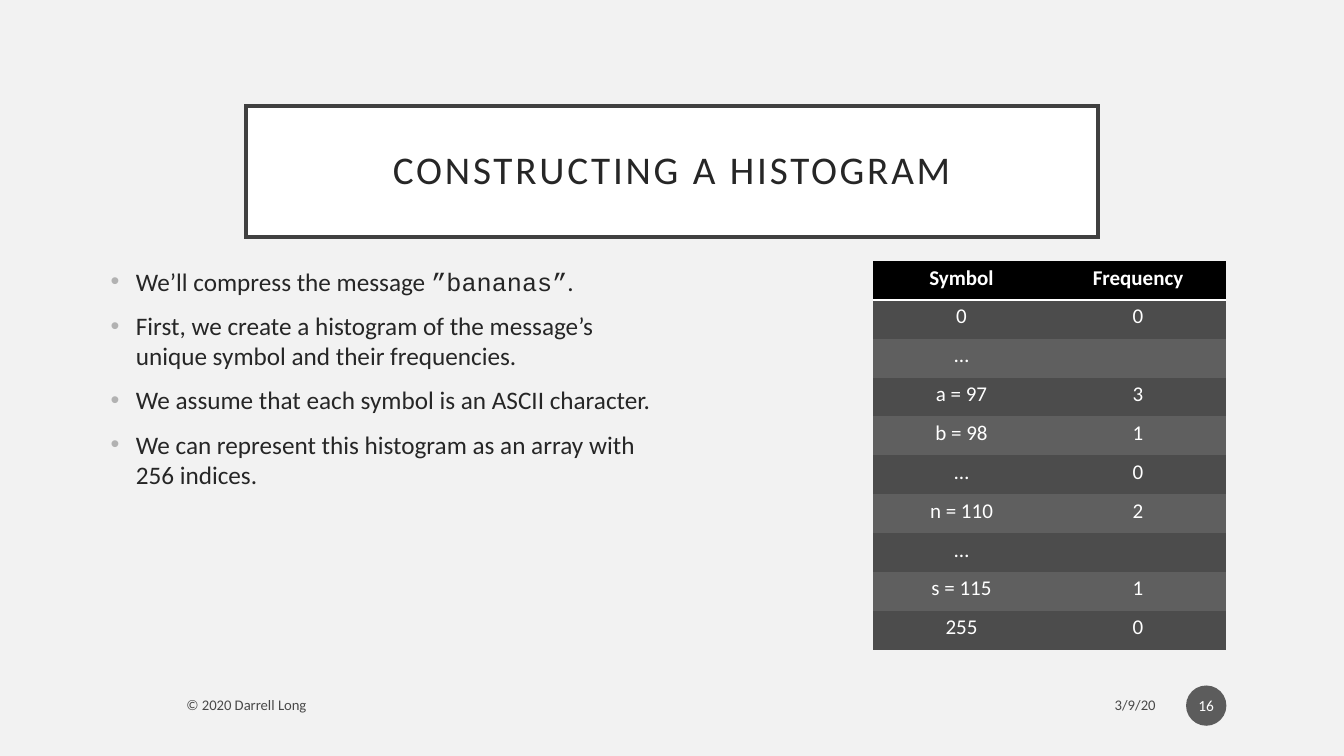
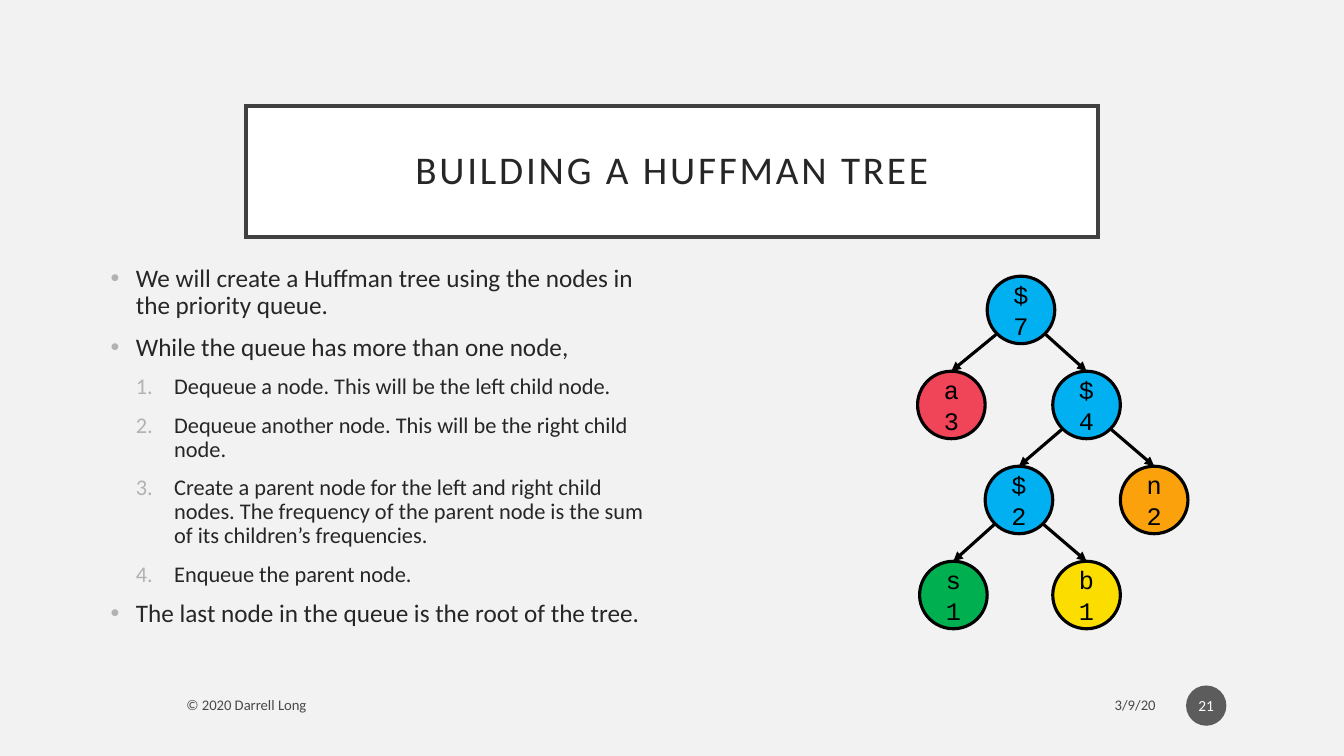
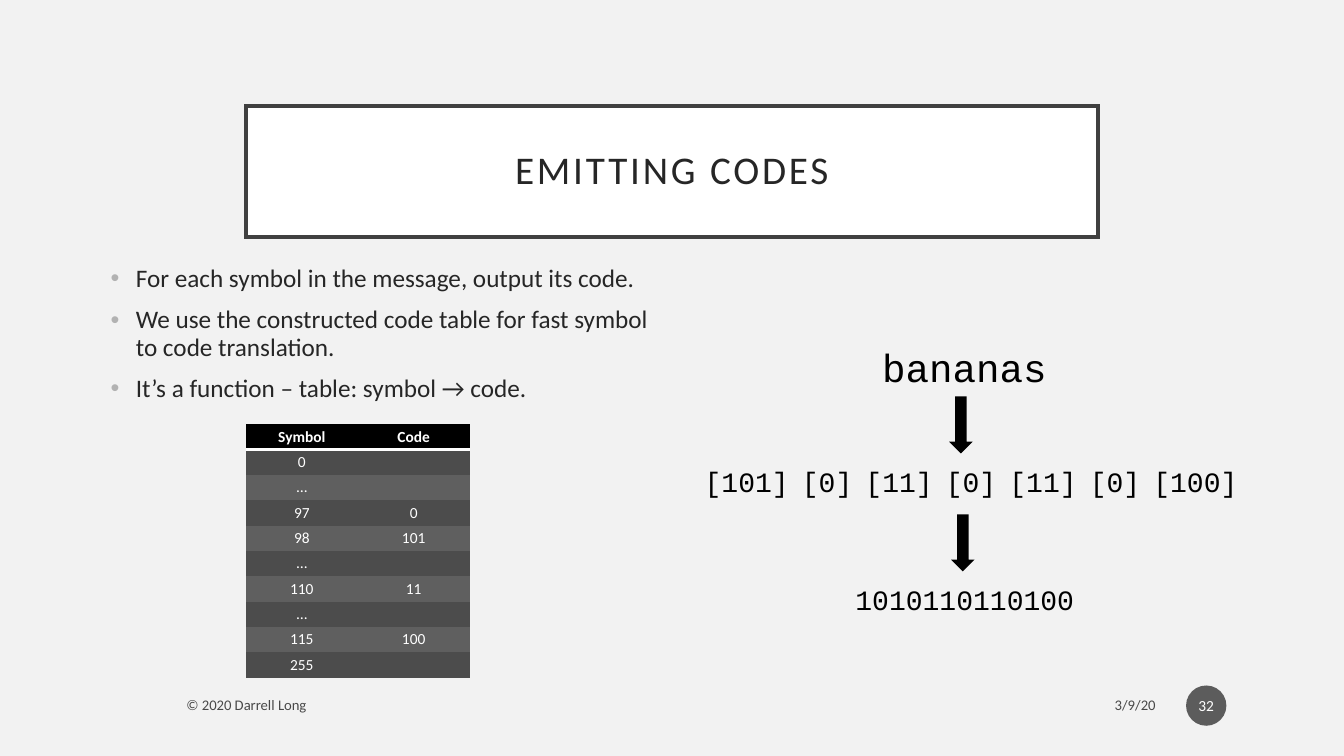
from lxml import etree
from pptx import Presentation
from pptx.dml.color import RGBColor
from pptx.enum.shapes import MSO_CONNECTOR, MSO_SHAPE
from pptx.enum.text import MSO_ANCHOR, PP_ALIGN
from pptx.oxml.ns import qn
from pptx.util import Inches, Pt

LEFT, MID, RIGHT = PP_ALIGN.LEFT, PP_ALIGN.CENTER, PP_ALIGN.RIGHT
TOP, MIDDLE = MSO_ANCHOR.TOP, MSO_ANCHOR.MIDDLE
RECT, OVAL, DOWN = MSO_SHAPE.RECTANGLE, MSO_SHAPE.OVAL, MSO_SHAPE.DOWN_ARROW
STRAIGHT = MSO_CONNECTOR.STRAIGHT

# Colours
PAPER = RGBColor(0xF2, 0xF2, 0xF2)
WHITE = RGBColor(0xFF, 0xFF, 0xFF)
BLACK = RGBColor(0x00, 0x00, 0x00)
INK = RGBColor(0x26, 0x26, 0x26)
EDGE = RGBColor(0x40, 0x40, 0x40)
BADGE = RGBColor(0x1D, 0x1D, 0x1D)
MARK = RGBColor(0xB2, 0xB2, 0xB2)
BANDS = (RGBColor(0x4C, 0x4C, 0x4C), RGBColor(0x5F, 0x5F, 0x5F))
BLUE = RGBColor(0x00, 0xB0, 0xF0)
RED = RGBColor(0xF0, 0x44, 0x58)
ORANGE = RGBColor(0xFA, 0xA1, 0x0C)
YELLOW = RGBColor(0xFB, 0xDE, 0x00)
GREEN = RGBColor(0x00, 0xB0, 0x50)

SANS, MONO = "Calibri", "Courier New"
NO_GRID = "{2D5ABB26-0587-4C30-8999-92F81FD0307C}"

# Places are left, top, width, height in percent of the slide
WIDE, HIGH = 13.33, 7.5
TITLE = (18.3, 14, 63.4, 17.33)
BODY = (7.5, 34.53, 42.5, 49.87)
SHORT = (7.5, 34.53, 42.5, 20)
OWNER = (13.13, 90.93, 48.39, 4.67)
DATE = (64.14, 90.93, 22.58, 4.67)
NUMBER = (88.25, 90.67, 3, 5.33)

# Tree grid: first cell, node size and row step
TREE_X, TREE_Y = 68.27, 36.53
NODE_W, NODE_H, STEP = 5.03, 8.93, 12.57

# Row of codes: first glyph, glyph width, gap and room at each side
CODE_X, GLYPH, GAP, SIDE = 52.44, 1.25, 0.98, 1.5


def across(share):
    return Inches(share * WIDE / 100)


def down(share):
    return Inches(share * HIGH / 100)


def place(x, y, w, h):
    return across(x), down(y), across(w), down(h)


def add(parent, tag, **attrs):
    return etree.SubElement(parent, qn(tag), attrs)


def fade(node):
    """Make the solid fills below an element 70% opaque."""
    for color in node.xpath(".//a:solidFill/a:srgbClr"):
        add(color, "a:alpha", val="70000")


def write(par, text, size, color=INK, font=SANS, bold=False):
    run = par.add_run()
    run.text = text
    run.font.size = Pt(size)
    run.font.name = font
    run.font.bold = bold
    run.font.color.rgb = color
    return run


def frame(shape, anchor=TOP, pad=(0.1, 0.05)):
    text = shape.text_frame
    text.word_wrap = True
    text.vertical_anchor = anchor
    text.margin_left = text.margin_right = Inches(pad[0])
    text.margin_top = text.margin_bottom = Inches(pad[1])
    return text


def label(slide, area, text, size, align=MID, anchor=TOP, font=MONO):
    box = slide.shapes.add_textbox(*place(*area))
    par = frame(box, anchor).paragraphs[0]
    par.alignment = align
    return write(par, text, size, BLACK, font)


def solid(slide, kind, area, fill, line=None, width=1):
    shape = slide.shapes.add_shape(kind, *place(*area))
    shape.shadow.inherit = False
    shape.fill.solid()
    shape.fill.fore_color.rgb = fill
    if line is None:
        shape.line.fill.background()
    else:
        shape.line.color.rgb = line
        shape.line.width = Pt(width)
        add(shape.element.spPr.find(qn("a:ln")), "a:miter", lim="800000")
    return shape


def page(deck, title, number):
    """Add a slide with the shared background, title and footer."""
    slide = deck.slides.add_slide(deck.slide_layouts[6])
    slide.background.fill.solid()
    slide.background.fill.fore_color.rgb = PAPER

    # Title
    banner = solid(slide, RECT, TITLE, WHITE, EDGE, 2.5)
    par = frame(banner, MIDDLE, (0.2, 0.2)).paragraphs[0]
    par.alignment = MID
    par.line_spacing = 0.9
    run = write(par, title, 28)
    run.font._element.set("spc", "200")

    # Footer
    for area, text, align in ((DATE, "3/9/20", RIGHT),
                              (OWNER, "© 2020 Darrell Long", LEFT)):
        run = label(slide, area, text, 10.5, align, MIDDLE, SANS)
        fade(run.font._element)
    badge = solid(slide, OVAL, NUMBER, BADGE)
    fade(badge.element)
    par = frame(badge, MIDDLE, (0.02, 0.05)).paragraphs[0]
    par.alignment = MID
    write(par, str(number), 11, WHITE)
    return slide


def bullet(par, level):
    props = par._p.get_or_add_pPr()
    indent, hang = ((0.25, 0.25), (0.63, 0.38))[level]
    props.set("marL", str(Inches(indent)))
    props.set("indent", str(-Inches(hang)))
    add(add(props, "a:buClr"), "a:srgbClr", val=str(MARK))
    if level:
        add(props, "a:buFont", typeface=SANS)
        add(props, "a:buAutoNum", type="arabicPeriod")
    else:
        add(props, "a:buFont", typeface="Arial")
        add(props, "a:buChar", char="•")


def points(slide, area, items, spacing=0.9):
    """Each item is a level followed by (text, font) runs."""
    text = frame(slide.shapes.add_textbox(*place(*area)))
    for i, (level, *runs) in enumerate(items):
        par = text.add_paragraph() if i else text.paragraphs[0]
        bullet(par, level)
        par.level = level
        par.line_spacing = spacing
        if i:
            par.space_before = Pt(10)
        for words, font in runs:
            write(par, words, 16 if level else 18, font=font)


def plain(level, text):
    return level, (text, SANS)


def grid(slide, x, y, width, row, size, pad, rows):
    count = len(rows)
    shape = slide.shapes.add_table(
        count, 2, *place(x, y, width, row * count))
    shape.element.xpath(".//a:tableStyleId")[0].text = NO_GRID
    table = shape.table
    for r, texts in enumerate(rows):
        table.rows[r].height = down(row)
        for c, text in enumerate(texts):
            cell = table.cell(r, c)
            cell.margin_left = cell.margin_right = Inches(pad[0])
            cell.margin_top = cell.margin_bottom = Inches(pad[1])
            cell.fill.solid()
            cell.fill.fore_color.rgb = BANDS[(r - 1) % 2] if r else BLACK
            par = cell.text_frame.paragraphs[0]
            par.alignment = MID
            if text:
                write(par, text, size, WHITE, bold=r == 0)
            else:
                add(par._p, "a:endParaRPr", sz=str(size * 100))
            if r == 0:
                rule(cell)


def rule(cell):
    """Draw a white line below a header cell."""
    props = cell._tc.get_or_add_tcPr()
    line = add(props, "a:lnB", w=str(Pt(2)))
    add(add(line, "a:solidFill"), "a:srgbClr", val=str(WHITE))
    props.insert(0, line)


def node(slide, col, row, text, fill):
    area = (TREE_X + col * NODE_W, TREE_Y + row * STEP, NODE_W, NODE_H)
    shape = solid(slide, OVAL, area, fill, BLACK, 2.25)
    par = frame(shape, MIDDLE).paragraphs[0]
    par.alignment = MID
    write(par, text, 18, BLACK, MONO)
    return shape


def branch(slide, top, child):
    """Draw an arrow from the lower rim of a node to its child."""
    share = 0.15 if child.left < top.left else 0.85
    start = top.left + int(top.width * share), top.top + int(top.height * 0.85)
    link = slide.shapes.add_connector(STRAIGHT, *start, child.left, child.top)
    link.end_connect(child, 0)
    link.line.color.rgb = BLACK
    link.line.width = Pt(2.25)
    props = link.element.spPr
    add(props.find(qn("a:ln")), "a:tailEnd", type="triangle")
    add(props, "a:effectLst")


def count_page(deck):
    slide = page(deck, "CONSTRUCTING A HISTOGRAM", 16)
    points(slide, BODY, [
        (0, ("We’ll compress the message ", SANS), ("”bananas”", MONO),
         (".", SANS)),
        plain(0, "First, we create a histogram of the message’s unique "
                 "symbol and their frequencies."),
        plain(0, "We assume that each symbol is an ASCII character."),
        plain(0, "We can represent this histogram as an array with "
                 "256 indices."),
    ], 1.0)
    grid(slide, 64.97, 34.53, 26.28, 5.14, 15, (0.09, 0.04), [
        ("Symbol", "Frequency"), ("0", "0"), ("…", ""), ("a = 97", "3"),
        ("b = 98", "1"), ("…", "0"), ("n = 110", "2"), ("…", ""),
        ("s = 115", "1"), ("255", "0")])


def tree_page(deck):
    slide = page(deck, "BUILDING A HUFFMAN TREE", 21)
    points(slide, BODY, [
        plain(0, "We will create a Huffman tree using the nodes in the "
                 "priority queue."),
        plain(0, "While the queue has more than one node,"),
        plain(1, "Dequeue a node. This will be the left child node."),
        plain(1, "Dequeue another node. This will be the right child node."),
        plain(1, "Create a parent node for the left and right child nodes. "
                 "The frequency of the parent node is the sum of its "
                 "children’s frequencies."),
        plain(1, "Enqueue the parent node."),
        plain(0, "The last node in the queue is the root of the tree."),
    ])

    # Column, row, text, fill and parent of each node
    tree = [(1.03, 0, "$ 7", BLUE, None),
            (0, 1, "a 3", RED, 0), (2, 1, "$ 4", BLUE, 0),
            (1, 2, "$ 2", BLUE, 2), (3, 2, "n 2", ORANGE, 2),
            (0.03, 3, "s 1", GREEN, 3), (2, 3, "b 1", YELLOW, 3)]
    nodes = []
    for *look, top in tree:
        nodes.append(node(slide, *look))
        if top is not None:
            branch(slide, nodes[top], nodes[-1])


def code_page(deck):
    slide = page(deck, "EMITTING CODES", 32)
    points(slide, SHORT, [
        plain(0, "For each symbol in the message, output its code."),
        plain(0, "We use the constructed code table for fast symbol to code "
                 "translation."),
        plain(0, "It’s a function – table: symbol → code."),
    ])
    grid(slide, 18.3, 56.13, 16.65, 3.35, 11, (0.06, 0.03), [
        ("Symbol", "Code"), ("0", ""), ("…", ""), ("97", "0"), ("98", "101"),
        ("…", ""), ("110", "11"), ("…", ""), ("115", "100"), ("255", "")])

    # Message, codes and bits
    label(slide, (62.27, 44.8, 18.98, 8.53), "bananas", 28)
    x = CODE_X
    for code in ("[101]", "[0]", "[11]", "[0]", "[11]", "[0]", "[100]"):
        width = len(code) * GLYPH
        label(slide, (x - SIDE, 60.73, width + 2 * SIDE, 6.53), code, 20)
        x += width + GAP
    label(slide, (61.85, 76.4, 19.88, 6.53), "1010110110100", 20)
    for x, y in ((70.74, 52.53), (70.89, 68.13)):
        solid(slide, DOWN, (x, y, 1.5, 7.33), BLACK, BLACK)


def main():
    deck = Presentation()
    deck.slide_width, deck.slide_height = Inches(WIDE), Inches(HIGH)
    count_page(deck)
    tree_page(deck)
    code_page(deck)
    deck.save("out.pptx")


if __name__ == "__main__":
    main()
